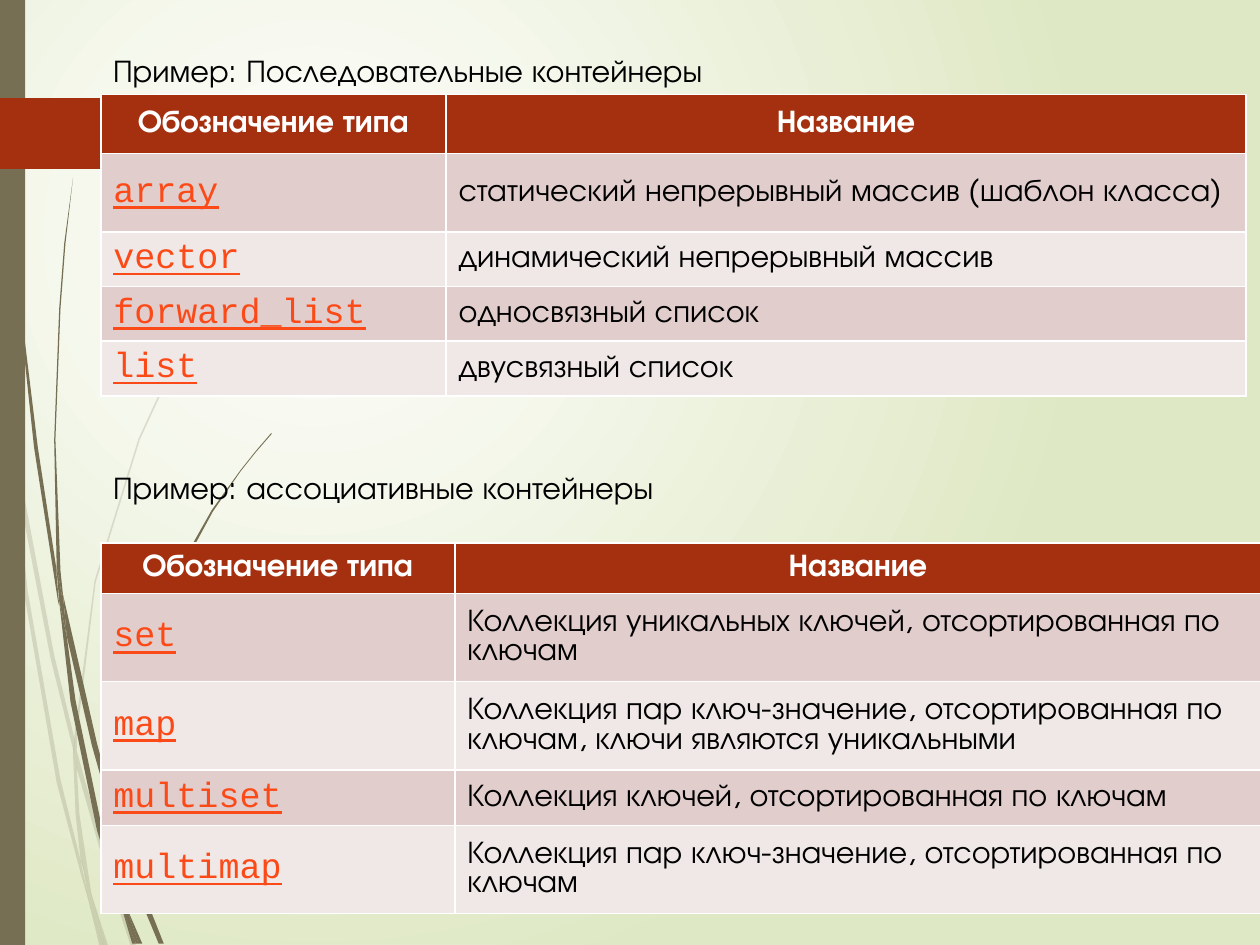
import pptx
import pptx.util
import pptx.dml.color
import pptx.enum.shapes
import pptx.enum.text
import pptx.oxml
import pptx.oxml.ns
import lxml.etree

Inches, Pt = pptx.util.Inches, pptx.util.Pt
qn = pptx.oxml.ns.qn
ALIGN = pptx.enum.text.PP_ALIGN
SHAPE = pptx.enum.shapes.MSO_SHAPE

COLORS = {"paper": "FFFFFF", "green": "DFE8C4", "stalk": "766F54", "accent": "A53010",
          "dark_row": "E1CDCC", "light_row": "F0E8E7", "link": "FB4A18",
          "white": "FFFFFF", "black": "000000"}
BODY_FONT, CODE_FONT = "TeX Gyre Adventor", "Courier New"

CAPTIONS = ["Пример: Последовательные контейнеры", "Пример: ассоциативные контейнеры"]
HEADER = ("Обозначение типа", "Название")
TABLES = [
    {"top": 0.75, "cols": (2.74, 6.35), "heights": (0.47, 0.62, 0.43, 0.43, 0.43),
     "rows": [("array", "статический непрерывный массив (шаблон класса)"),
              ("vector", "динамический непрерывный массив"),
              ("forward_list", "односвязный список"),
              ("list", "двусвязный список")]},
    {"top": 4.31, "cols": (2.81, 6.4), "heights": (0.4, 0.7, 0.7, 0.44, 0.7),
     "rows": [("set", "Коллекция уникальных ключей, отсортированная по ключам"),
              ("map", "Коллекция пар ключ-значение, отсортированная по ключам, "
                      "ключи являются уникальными"),
              ("multiset", "Коллекция ключей, отсортированная по ключам"),
              ("multimap", "Коллекция пар ключ-значение, отсортированная по ключам")]},
]

# Outlines of the grass blades, in inches
PALE_BLADES = [
    [(0.08, 3.5), (0.06, 3.22), (0, 2.82), (0, 2.99), (0.07, 3.44)],
    [(0.4, 5.22), (0.59, 5.99), (0.59, 5.86), (0.43, 5.2), (0.1, 3.45), (0.12, 3.76)],
    [(0.64, 6.07), (0.61, 5.96), (0.61, 6.1), (0.85, 6.94), (1.04, 7.51), (1.08, 7.51),
     (0.88, 6.92)],
    [(0.83, 7.51), (0.86, 7.51), (0.73, 7.11)],
    [(0.64, 6.83), (0.48, 6.19), (0.22, 4.69), (0.12, 3.76), (0.08, 3.5), (0.19, 4.7),
     (0.45, 6.21), (0.64, 6.93), (0.7, 7.14), (0.69, 7.07)],
    [(0.58, 5.99), (0.6, 6.46), (0.64, 6.83), (0.67, 6.92), (0.73, 7.11), (0.72, 7.06),
     (0.63, 6.46), (0.61, 6.1), (0.61, 6.08)],
    [(0.61, 5.84), (0.76, 4.62), (1.11, 3.49), (1.59, 2.45), (1.87, 1.98), (2.01, 1.75),
     (2.17, 1.54), (2.17, 1.53), (2.01, 1.75), (1.86, 1.97), (1.58, 2.44), (1.1, 3.48),
     (0.75, 4.61), (0.59, 5.84), (0.59, 5.86), (0.61, 5.96)],
    [(0.7, 7.14), (0.79, 7.51), (0.82, 7.51)],
    [(0.61, 6.08), (0.61, 6.1), (0.61, 5.96), (0.59, 5.86), (0.58, 5.99)],
    [(0.67, 6.92), (0.65, 6.83), (0.69, 7.07), (0.7, 7.14), (0.82, 7.51), (0.83, 7.51),
     (0.73, 7.11)],
]
DARK_BLADES = [
    [(0.05, 1.1), (0.14, 2.33), (0.27, 3.55), (0.46, 4.77), (0.47, 4.81), (0.45, 4.57),
     (0.45, 4.53), (0.3, 3.55), (0.15, 2.32), (0.06, 1.09), (0.04, 0.48), (0.03, 0),
     (0.02, 0), (0.03, 0.48)],
    [(0.73, 5.92), (0.88, 6.45), (0.88, 6.33), (0.88, 6.31), (0.77, 5.9), (0.5, 4.72),
     (0.53, 5.05)],
    [(0.94, 6.49), (0.91, 6.41), (0.91, 6.56), (1.09, 7.08), (1.26, 7.49), (1.3, 7.49),
     (1.13, 7.06)],
    [(0.91, 6.91), (0.81, 6.57), (0.6, 5.56), (0.53, 5.05), (0.47, 4.77), (0.56, 5.57),
     (0.77, 6.59), (0.92, 7.08), (0.97, 7.22), (0.96, 7.17)],
    [(0.5, 4.72), (0.48, 4.53), (0.44, 3.49), (0.48, 2.45), (0.52, 1.93), (0.58, 1.41),
     (0.51, 1.93), (0.47, 2.45), (0.43, 3.49), (0.45, 4.49), (0.49, 4.72)],
    [(1.1, 7.49), (1.13, 7.49), (1, 7.19)],
    [(0.47, 4.77), (0.53, 5.05), (0.5, 4.72), (0.49, 4.72), (0.45, 4.49), (0.45, 4.53)],
    [(0.91, 6.33), (1.03, 5.52), (1.31, 4.76), (1.69, 4.06), (1.91, 3.74), (2.03, 3.59),
     (2.16, 3.44), (2.15, 3.44), (2.03, 3.58), (1.91, 3.73), (1.68, 4.05), (1.29, 4.74),
     (1.01, 5.51), (0.88, 6.31), (0.91, 6.41)],
    [(0.97, 7.22), (1.05, 7.49), (1.08, 7.49)],
    [(0.88, 6.45), (0.91, 6.91), (0.96, 7.06), (1, 7.19), (1, 7.16), (0.91, 6.56),
     (0.9, 6.51)],
    [(0.88, 6.45), (0.9, 6.51), (0.91, 6.56), (0.91, 6.41), (0.88, 6.31), (0.88, 6.33)],
    [(0.96, 7.06), (0.91, 6.91), (0.96, 7.17), (0.97, 7.22), (1.08, 7.49), (1.1, 7.49),
     (1, 7.19)],
]


def rgb(name):
    return pptx.dml.color.RGBColor.from_string(COLORS[name])


def write(p, text, size=18, font=BODY_FONT, color="black", bold=False,
          underline=False, align=ALIGN.LEFT):
    p.alignment = align
    r = p.add_run()
    r.text = text
    r.font.size, r.font.name = Pt(size), font
    r.font.bold, r.font.underline = bold, underline
    r.font.color.rgb = rgb(color)


def paint(sp, color, opacity=100):
    sp.shadow.inherit = False
    sp.fill.solid()
    sp.fill.fore_color.rgb = rgb(color)
    sp.line.fill.background()
    if opacity < 100:
        clr = sp.fill._xPr.find(".//" + qn("a:srgbClr"))
        lxml.etree.SubElement(clr, qn("a:alpha")).set("val", str(opacity * 1000))


def add_blade(s, outline, opacity):
    points = [(Inches(x), Inches(y)) for x, y in outline]
    builder = s.shapes.build_freeform(*points[0])
    builder.add_line_segments(points[1:], close=True)
    paint(builder.convert_to_shape(), "stalk", opacity)


def add_background(s):
    fill = s.background.fill
    fill.gradient()
    for stop, position, color in zip(fill.gradient_stops, (0, 1), ("paper", "green")):
        stop.position = position
        stop.color.rgb = rgb(color)
    grad = s.element.find(".//" + qn("a:gradFill"))
    grad.remove(grad.find(qn("a:lin")))
    circle = lxml.etree.SubElement(grad, qn("a:path"), path="circle")
    lxml.etree.SubElement(circle, qn("a:fillToRect"),
                          l="50000", t="50000", r="100000", b="100000")


def add_container_table(s, data):
    rows = [HEADER] + data["rows"]
    table = s.shapes.add_table(len(rows), 2, Inches(0.8), Inches(data["top"]),
                               Inches(sum(data["cols"])), Inches(sum(data["heights"]))).table
    for column, width in zip(table.columns, data["cols"]):
        column.width = Inches(width)
    for i, texts in enumerate(rows):
        table.rows[i].height = Inches(data["heights"][i])
        for j, text in enumerate(texts):
            cell = table.cell(i, j)
            cell.vertical_anchor = pptx.enum.text.MSO_ANCHOR.MIDDLE
            cell.fill.solid()
            p = cell.text_frame.paragraphs[0]
            if i == 0:
                cell.fill.fore_color.rgb = rgb("accent")
                write(p, text, color="white", bold=True, align=ALIGN.CENTER)
                continue
            cell.fill.fore_color.rgb = rgb("dark_row" if i % 2 else "light_row")
            if j == 0:
                write(p, text, size=20, font=CODE_FONT, color="link", underline=True)
            else:
                write(p, text)


prs = pptx.Presentation()
prs.slide_width, prs.slide_height = Inches(10), Inches(7.5)
s = prs.slides.add_slide(prs.slide_layouts[6])

# Background, grass, side bar and arrow
add_background(s)
for blades, opacity in ((PALE_BLADES, 20), (DARK_BLADES, 100)):
    for outline in blades:
        add_blade(s, outline, opacity)
bar = s.shapes.add_shape(SHAPE.RECTANGLE, 0, 0, Inches(0.2), Inches(7.5))
paint(bar, "stalk")
arrow = s.shapes.add_shape(SHAPE.PENTAGON, 0, Inches(0.78), Inches(1.49), Inches(0.56))
arrow.adjustments[0] = 0.45
paint(arrow, "accent")

# Captions above the tables
tf = s.shapes.add_textbox(Inches(0.8), Inches(0.38), Inches(9.09), Inches(4.95)).text_frame
tf.word_wrap = True
for i, caption in enumerate(CAPTIONS):
    p = tf.add_paragraph() if i else tf.paragraphs[0]
    p.line_spacing = Pt(20)
    p.space_before = Pt(218 if i else 0)
    write(p, caption)

# Tables
for data in TABLES:
    add_container_table(s, data)

prs.save("out.pptx")
